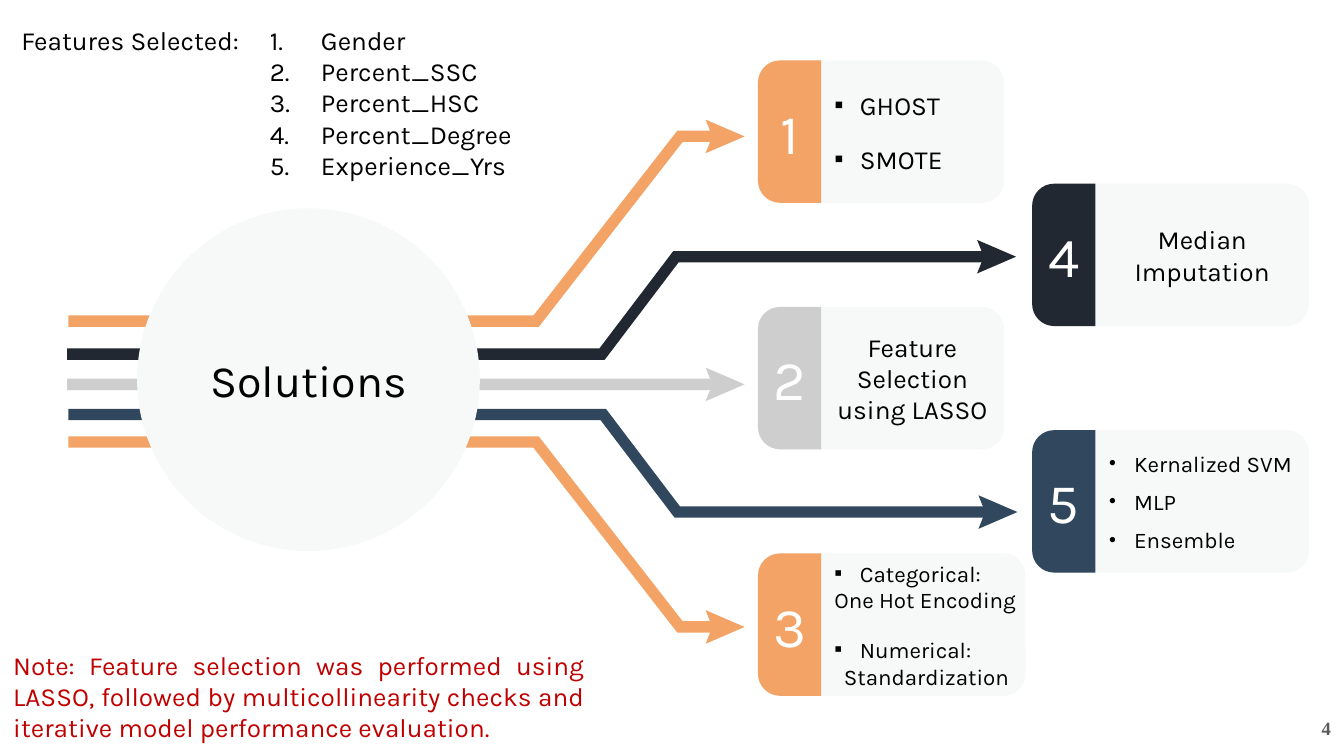
import math
from dataclasses import dataclass

from lxml import etree
from pptx import Presentation
from pptx import util as u
from pptx.dml.color import RGBColor
from pptx.enum import shapes, text
from pptx.oxml.ns import qn


@dataclass(frozen=True)
class Theme:
    orange: str = "F2A365"
    dark: str = "222831"
    grey: str = "CECECE"
    blue: str = "30475E"
    panel: str = "F7F9F9"
    ink: str = "000000"
    white: str = "FFFFFF"
    red: str = "C00000"
    muted: str = "595959"
    font: str = "Karla"
    serif: str = "Times New Roman"
    hub: int = 24
    tab: int = 30
    body: int = 14
    small: int = 12
    page_number: int = 10


theme = Theme()
deck = Presentation()
deck.slide_width = u.Inches(10)
deck.slide_height = deck.slide_width * 9 // 16
page = deck.slides.add_slide(deck.slide_layouts[6])
CELL = deck.slide_width / 100  # square grid, 100 columns across the slide
ALIGN = text.PP_ALIGN


def cells(*counts):
    return [u.Emu(round(count * CELL)) for count in counts]


def style(shape, fill=None, lines=(), size=theme.body, color=theme.ink, font=theme.font,
          bold=False, align=ALIGN.LEFT, gap=0, indent=1.9, pad=1, anchor=text.MSO_ANCHOR.MIDDLE):
    """Fill a shape and write lines given as (words, bullet, align, gap) or plain words."""
    if fill:
        shape.shadow.inherit = False
        shape.fill.solid()
        shape.fill.fore_color.rgb = RGBColor.from_string(fill)
        shape.line.fill.background()
    frame = shape.text_frame
    side, edge = cells(1, pad)
    layout = {"word_wrap": True, "vertical_anchor": anchor, "margin_left": side,
              "margin_right": side, "margin_top": edge, "margin_bottom": edge}
    for name, value in layout.items():
        setattr(frame, name, value)
    for index, line in enumerate(lines):
        words, bullet, line_align, line_gap = (
            (line, None, align, gap) if isinstance(line, str) else line)
        para = frame.paragraphs[0] if index == 0 else frame.add_paragraph()
        para.alignment = line_align
        para.space_before = u.Pt(line_gap if index else 0)
        span = para.add_run()
        span.text = words
        for name, value in {"size": u.Pt(size), "name": font, "bold": bold}.items():
            setattr(span.font, name, value)
        span.font.color.rgb = RGBColor.from_string(color)
        if bullet:
            props = para._p.get_or_add_pPr()
            hang = cells(indent)[0]
            props.set("marL", str(hang))
            props.set("indent", str(-hang))
            if bullet == "1.":
                etree.SubElement(props, qn("a:buAutoNum"), type="arabicPeriod")
            else:
                etree.SubElement(props, qn("a:buFont"), typeface=theme.serif)
                etree.SubElement(props, qn("a:buChar"), char=bullet)


# Arrows: color, left, start row, end row, two bend columns, end column
routes = [
    (theme.grey, 5, 28.6, 28.6, 40, 50, 53.4),
    (theme.orange, 5.1, 23.9, 10.15, 39.9, 50.6, 53.4),
    (theme.dark, 5, 26.35, 19.1, 44.8, 50.3, 73.6),
    (theme.blue, 5.1, 30.85, 38.1, 44.9, 50.4, 73.7),
    (theme.orange, 5.1, 32.9, 46.65, 39.9, 50.6, 53.4),
]
HALF = 0.42
polygons = []
for color, left, start, end, bend_1, bend_2, right in routes:
    skew = 0.2 if end < start else -0.2
    upper = [(left, start - HALF), (bend_1 - skew, start - HALF),
             (bend_2 - skew, end - HALF), (right, end - HALF)]
    lower = [(right, end + HALF), (bend_2 + skew, end + HALF),
             (bend_1 + skew, start + HALF), (left, start + HALF)]
    head = [(right - 0.9, end - 1.25), (right - 0.4, end),
            (right - 0.9, end + 1.25), (right + 2, end)]
    polygons += [(color, upper + lower, ()), (color, head, ())]

# Cards from top to bottom: number, color, left, width, text width, text settings
square, dot = "▪", "•"
cards = [
    ("1", theme.orange, 56.4, 18.3, 13.6, dict(lines=[
        (name, square, ALIGN.LEFT, 12) for name in ("GHOST", "SMOTE")])),
    ("4", theme.dark, 76.8, 20.6, 15.9, dict(lines=["Median Imputation"], align=ALIGN.CENTER)),
    ("2", theme.grey, 56.4, 18.3, 13.6,
     dict(lines=["Feature Selection using LASSO"], align=ALIGN.CENTER)),
    ("5", theme.blue, 76.8, 20.6, 15.9, dict(size=theme.small, lines=[
        (name, dot, ALIGN.LEFT, 6) for name in ("Kernalized SVM", "MLP", "Ensemble")])),
    ("3", theme.orange, 56.4, 19.9, 15.7, dict(size=theme.small, lines=[
        ("Categorical:", square, ALIGN.LEFT, 0), "One Hot Encoding",
        ("Numerical:", square, ALIGN.LEFT, 12),
        ("Standardization", None, ALIGN.CENTER, 0)])),
]
TOP, PITCH, HEIGHT, TAB, RADIUS, STEPS = 4.5, 9.17, 10.6, 4.7, 1.65, 8
card_texts = []
for row, (number, color, left, width, text_width, settings) in enumerate(cards):
    top = TOP + row * PITCH
    corners = []
    for center, first in ((top + HEIGHT - RADIUS, 90), (top + RADIUS, 180)):
        for step in range(STEPS + 1):
            angle = math.radians(first + 90 * step / STEPS)
            corners.append((left + RADIUS + RADIUS * math.cos(angle),
                            center + RADIUS * math.sin(angle)))
    tab = corners + [(left + TAB, top), (left + TAB, top + HEIGHT)]
    panel = page.shapes.add_shape(shapes.MSO_SHAPE.ROUNDED_RECTANGLE,
                                  *cells(left, top, width, HEIGHT))
    panel.adjustments[0] = RADIUS / HEIGHT
    style(panel, theme.panel)
    polygons.append((color, tab, [number]))
    card_texts.append(((left + TAB, top, text_width, HEIGHT), settings))

for color, points, label in polygons:
    corners = [cells(*point) for point in points]
    builder = page.shapes.build_freeform(*corners[0])
    builder.add_line_segments(corners[1:], close=True)
    style(builder.convert_to_shape(), color, label, size=theme.tab, color=theme.white,
          align=ALIGN.CENTER)

hub = page.shapes.add_shape(shapes.MSO_SHAPE.OVAL, *cells(10.2, 15.5, 25.5, 25.5))
style(hub, theme.panel, ["Solutions"], size=theme.hub, align=ALIGN.CENTER)

features = ["Gender", "Percent_SSC", "Percent_HSC", "Percent_Degree", "Experience_Yrs"]
note = ("Note: Feature selection was performed using LASSO, followed by "
        "multicollinearity checks and iterative model performance evaluation.")
top_text = dict(pad=0.5, anchor=text.MSO_ANCHOR.TOP)
free_texts = [
    ((91.1, 52, 8.9, 4.3), dict(lines=["4"], size=theme.page_number, color=theme.muted,
                                font=theme.serif, bold=True, align=ALIGN.RIGHT)),
    ((0.6, 1.3, 18.5, 3.4), dict(lines=["Features Selected:"], **top_text)),
    ((19.1, 1.3, 20.4, 12.8), dict(lines=[(name, "1.", ALIGN.LEFT, 0) for name in features],
                                   indent=3.8, **top_text)),
    ((0, 47.8, 44.5, 8.1), dict(lines=[note], color=theme.red, align=ALIGN.JUSTIFY, **top_text)),
]
for place, settings in card_texts + free_texts:
    style(page.shapes.add_textbox(*cells(*place)), **settings)

deck.save("out.pptx")
